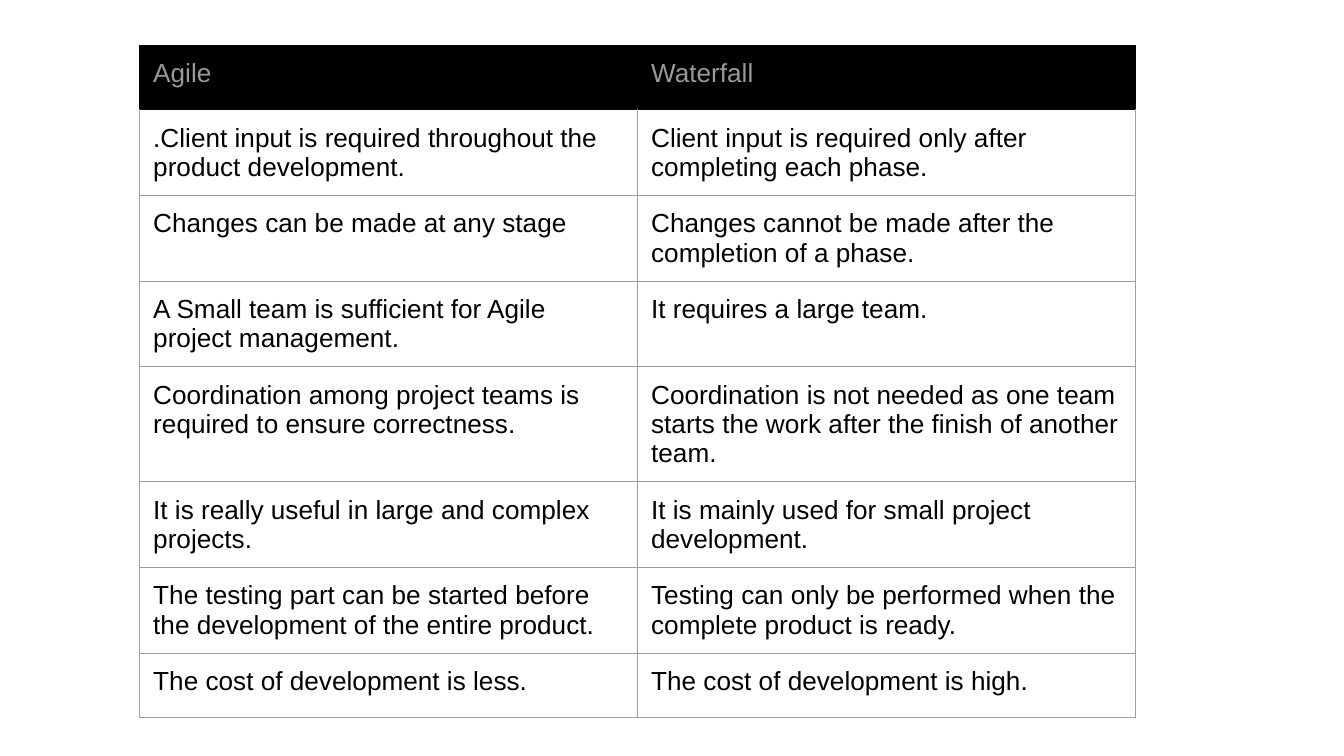
from dataclasses import dataclass

from lxml import etree
from pptx import Presentation
from pptx import util as u
from pptx.dml.color import RGBColor
from pptx.oxml.ns import qn

BLACK = RGBColor(0x00, 0x00, 0x00)
GRAY = RGBColor(0x99, 0x99, 0x99)
RULE = RGBColor(0x9E, 0x9E, 0x9E)

SLIDE_W = u.Inches(10)
SLIDE_H = SLIDE_W * 9 // 16
LEFT, TOP, TABLE_W = 10.4, 6, 74.1  # percent of the slide's size
HEIGHT_BY_LINES = {1: 0.48, 2: 0.57, 3: 0.76}  # inches
FONT = {"name": "Arial", "size": u.Pt(14)}
MARGINS = dict.fromkeys(
    ("margin_left", "margin_right", "margin_top", "margin_bottom"), u.Inches(0.1)
)


@dataclass(frozen=True)
class Comparison:
    agile: str
    waterfall: str
    lines: int = 2
    header: bool = False


COMPARISONS = [
    Comparison("Agile", "Waterfall", lines=1, header=True),
    Comparison(".Client input is required throughout the product development.",
               "Client input is required only after completing each phase."),
    Comparison("Changes can be made at any stage",
               "Changes cannot be made after the completion of a phase."),
    Comparison("A Small team is sufficient for Agile project management.",
               "It requires a large team."),
    Comparison("Coordination among project teams is required to ensure correctness.",
               "Coordination is not needed as one team starts the work "
               "after the finish of another team.", lines=3),
    Comparison("It is really useful in large and complex projects.",
               "It is mainly used for small project development."),
    Comparison("The testing part can be started before the development "
               "of the entire product.",
               "Testing can only be performed when the complete product is ready."),
    Comparison("The cost of development is less.",
               "The cost of development is high.", lines=1),
]


def share(length: int, percent: float) -> int:
    return round(length * percent / 100)


def set_format(target, values: dict) -> None:
    for name, value in values.items():
        setattr(target, name, value)


def set_borders(cell, color: RGBColor, top: RGBColor) -> None:
    """Draw all four sides; call before filling, as the schema puts lines first."""
    tc_pr = cell._tc.get_or_add_tcPr()
    for side in "LRTB":
        ln = etree.SubElement(tc_pr, qn(f"a:ln{side}"), w=str(u.Pt(0.75)))
        fill = etree.SubElement(ln, qn("a:solidFill"))
        etree.SubElement(fill, qn("a:srgbClr"), val=str(top if side == "T" else color))


def fill_cell(cell, content: str, header: bool, below_header: bool) -> None:
    set_format(cell, MARGINS)
    border = BLACK if header else RULE
    set_borders(cell, border, top=BLACK if below_header else border)
    if header:
        cell.fill.solid()
        cell.fill.fore_color.rgb = BLACK
    else:
        cell.fill.background()
    r = cell.text_frame.paragraphs[0].add_run()
    r.text = content
    set_format(r.font, FONT)
    r.font.color.rgb = GRAY if header else BLACK


def add_comparison_table(s, comparisons: list[Comparison]) -> None:
    heights = [u.Inches(HEIGHT_BY_LINES[c.lines]) for c in comparisons]
    table = s.shapes.add_table(
        len(comparisons), 2, share(SLIDE_W, LEFT), share(SLIDE_H, TOP),
        share(SLIDE_W, TABLE_W), sum(heights),
    ).table
    set_format(table, {"first_row": False, "horz_banding": False})
    for i, (c, height) in enumerate(zip(comparisons, heights)):
        table.rows[i].height = height
        for j, content in enumerate((c.agile, c.waterfall)):
            fill_cell(table.cell(i, j), content, c.header, below_header=i == 1)


def main() -> None:
    prs = Presentation()
    set_format(prs, {"slide_width": SLIDE_W, "slide_height": SLIDE_H})
    s = prs.slides.add_slide(prs.slide_layouts[6])
    add_comparison_table(s, COMPARISONS)
    prs.save("out.pptx")


if __name__ == "__main__":
    main()
